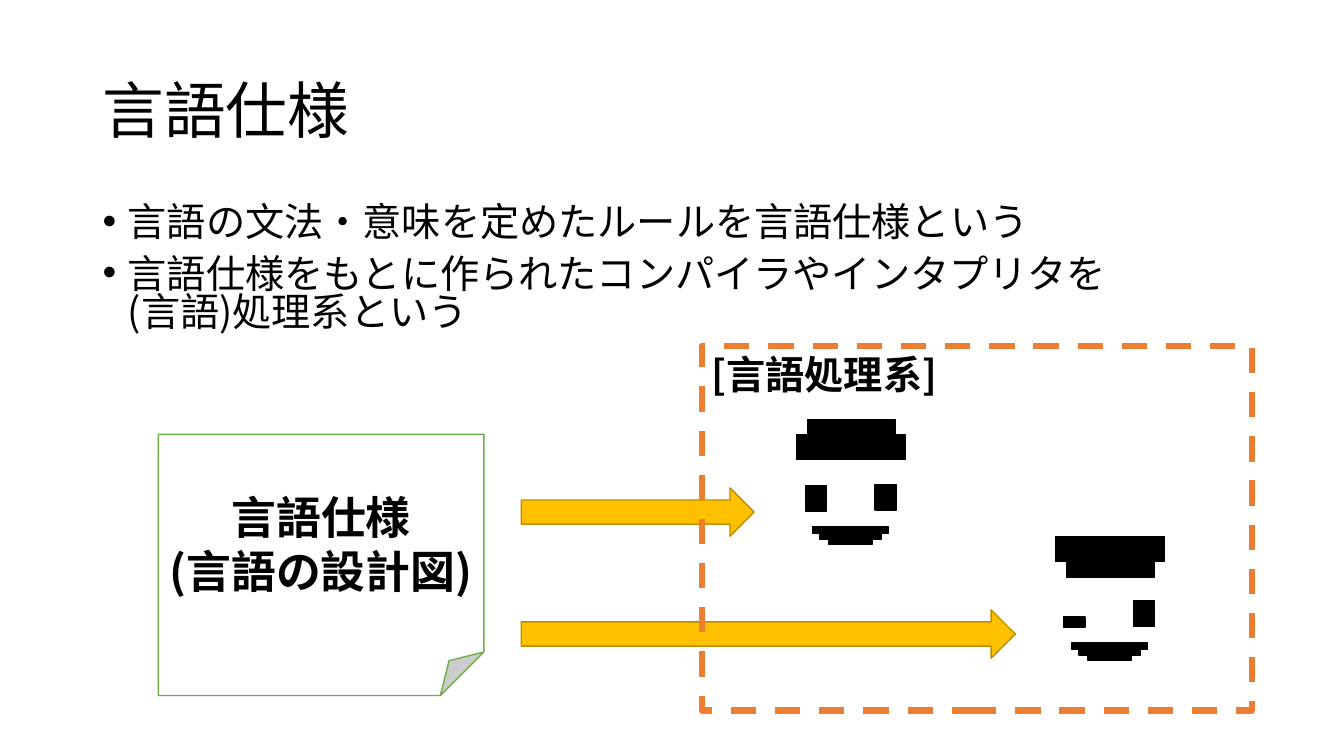
from lxml import etree
from pptx import Presentation
from pptx.dml.color import RGBColor
from pptx.enum.dml import MSO_LINE
from pptx.enum.shapes import MSO_SHAPE
from pptx.enum.text import MSO_ANCHOR, PP_ALIGN
from pptx.oxml.ns import qn
from pptx.util import Pt

RECT, ARROW, NOTE = MSO_SHAPE.RECTANGLE, MSO_SHAPE.RIGHT_ARROW, MSO_SHAPE.FOLDED_CORNER
TOP, MIDDLE = MSO_ANCHOR.TOP, MSO_ANCHOR.MIDDLE
LEFT, CENTER = PP_ALIGN.LEFT, PP_ALIGN.CENTER
DASH = MSO_LINE.DASH

BLACK = RGBColor(0x00, 0x00, 0x00)
WHITE = RGBColor(0xFF, 0xFF, 0xFF)
GREEN = RGBColor(0x70, 0xAD, 0x47)
GOLD = RGBColor(0xFF, 0xC0, 0x00)
DARK_GOLD = RGBColor(0xBD, 0x8E, 0x00)
ORANGE = RGBColor(0xED, 0x7D, 0x31)

FONT = "Noto Sans CJK JP"
EMU_PER_PX = 9144
PAGE_SIZE = (1333, 750)
BULLET_INDENT = 25

TITLE = ["言語仕様"]
BULLETS = [
    "言語の文法・意味を定めたルールを言語仕様という",
    "言語仕様をもとに作られたコンパイラやインタプリタを\v(言語)処理系という",
]
NOTE_LINES = ["言語仕様", "(言語の設計図)"]
FRAME_LABEL = ["[言語処理系]"]

TITLE_AREA = (92, 40, 1150, 145)
BULLET_AREA = (92, 200, 1150, 149)
NOTE_AREA = (157, 431, 323, 259)
FRAME_AREA = (696, 343, 546, 362)
ARROW_LEFT, ARROW_HEIGHT = 517, 48
ARROWS = [(484, 231), (605, 490)]

BRIM = (0, 0, 108, 25)
MOUTH = [(0, 0, 75, 6), (7, 6, 61, 6), (16, 12, 43, 5)]
FACES = [
    {"origin": (790, 431), "mouth": (16, 92),
     "parts": [BRIM, (11, -15, 87, 15), (9, 51, 21, 25), (78, 50, 21, 25)]},
    {"origin": (1047, 532), "mouth": (16, 106),
     "parts": [BRIM, (11, 26, 87, 15), (8, 80, 21, 10), (77, 64, 21, 25)]},
]


def px(value):
    return value * EMU_PER_PX


def add_shape(parent, kind, area, fill, line, width=1):
    shape = parent.shapes.add_shape(kind, *map(px, area))
    shape.shadow.inherit = False
    if fill is None:
        shape.fill.background()
    else:
        shape.fill.solid()
        shape.fill.fore_color.rgb = fill
    shape.line.color.rgb = line
    shape.line.width = Pt(width)
    return shape


def add_bullet(para):
    properties = para._p.get_or_add_pPr()
    properties.set("marL", str(px(BULLET_INDENT)))
    properties.set("indent", str(-px(BULLET_INDENT)))
    etree.SubElement(properties, qn("a:buFont"), typeface="Arial")
    etree.SubElement(properties, qn("a:buChar"), char="•")


def write(box, lines, size, bold=False, anchor=TOP, bullets=False, **layout):
    frame = box.text_frame
    frame.word_wrap = True
    frame.vertical_anchor = anchor
    for index, line in enumerate(lines):
        para = frame.paragraphs[0] if index == 0 else frame.add_paragraph()
        para.text = line
        if bullets:
            add_bullet(para)
            if index:
                para.space_before = Pt(10)
        for name, value in layout.items():
            setattr(para, name, value)
        for span in para.runs:
            for name, value in {"name": FONT, "size": Pt(size), "bold": bold}.items():
                setattr(span.font, name, value)
            span.font.color.rgb = BLACK
            etree.SubElement(span._r.get_or_add_rPr(), qn("a:ea"), typeface=FONT)


def add_face(page, origin, mouth, parts):
    group = page.shapes.add_group_shape()
    mouth_parts = [(mouth[0] + x, mouth[1] + y, w, h) for x, y, w, h in MOUTH]
    for x, y, w, h in parts + mouth_parts:
        add_shape(group, RECT, (origin[0] + x, origin[1] + y, w, h), BLACK, BLACK)


def main():
    deck = Presentation()
    deck.slide_width, deck.slide_height = map(px, PAGE_SIZE)
    page = deck.slides.add_slide(deck.slide_layouts[6])

    title = page.shapes.add_textbox(*map(px, TITLE_AREA))
    write(title, TITLE, 44, anchor=MIDDLE, line_spacing=0.9)
    body = page.shapes.add_textbox(*map(px, BULLET_AREA))
    write(body, BULLETS, 28, bullets=True, line_spacing=0.8)

    note = add_shape(page, NOTE, NOTE_AREA, WHITE, GREEN)
    write(note, NOTE_LINES, 32, bold=True, anchor=MIDDLE, alignment=CENTER)

    for face in FACES:
        add_face(page, **face)
    for top, width in ARROWS:
        add_shape(page, ARROW, (ARROW_LEFT, top, width, ARROW_HEIGHT), GOLD, DARK_GOLD)

    frame = add_shape(page, RECT, FRAME_AREA, None, ORANGE, 4.5)
    frame.line.dash_style = DASH
    write(frame, FRAME_LABEL, 28, bold=True, alignment=LEFT)

    deck.save("out.pptx")


if __name__ == "__main__":
    main()
